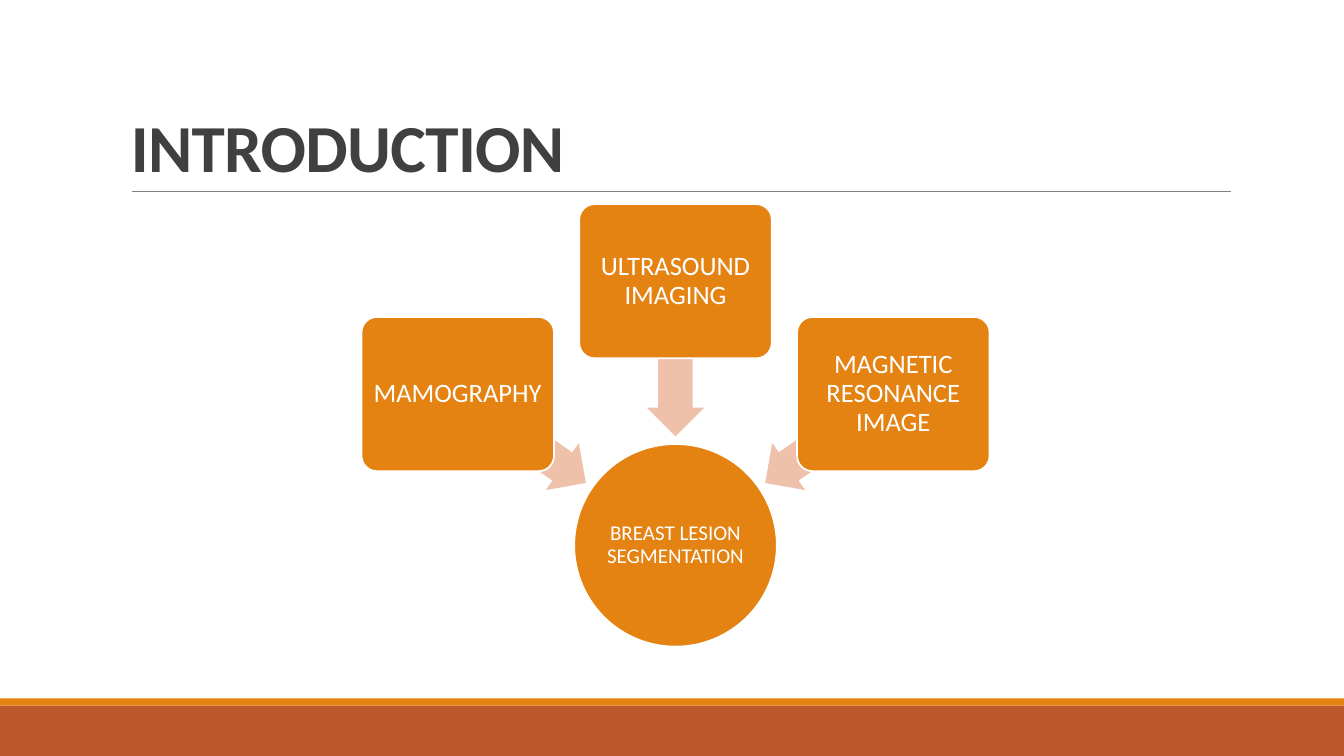
from dataclasses import dataclass

from lxml import etree
from pptx import Presentation
from pptx.dml.color import RGBColor
from pptx.enum import shapes, text
from pptx.oxml.ns import qn
from pptx.util import Inches, Pt

FONT = "Calibri"
ORANGE, RUST, PEACH = "E48312", "BD582C", "EFC1AB"
WHITE, DARK, GREY = "FFFFFF", "404040", "808080"

HUB_X, HUB_Y, HUB_SIZE = 6.7, 5.41, 2.01
BOX_W, BOX_H = 1.91, 1.53
ARROW_W, ARROW_H = 1.54, 0.57


@dataclass
class Modality:
    """An imaging method; offsets run from the hub centre to the box and arrow centres."""
    label: str
    box_dx: float
    box_dy: float
    arrow_dx: float
    arrow_dy: float
    rotation: float


MODALITIES = [
    Modality("MAMOGRAPHY", -2.16, -1.5, -1.52, -1.06, 215),
    Modality("ULTRASOUND IMAGING", 0, -2.62, 0, -1.85, 270),
    Modality("MAGNETIC RESONANCE IMAGE", 2.16, -1.5, 1.52, -1.06, 325),
]


def rgb(value: str) -> RGBColor:
    return RGBColor.from_string(value)


def add_block(slide, kind, left: float, top: float, width: float, height: float,
              fill: str, outline: str | None = None):
    block = slide.shapes.add_shape(kind, Inches(left), Inches(top), Inches(width), Inches(height))
    block.shadow.inherit = False
    block.fill.solid()
    block.fill.fore_color.rgb = rgb(fill)
    if outline:
        block.line.color.rgb = rgb(outline)
        block.line.width = Pt(1.25)
    else:
        block.line.fill.background()
    return block


def add_centred(slide, kind, x: float, y: float, width: float, height: float,
                fill: str, outline: str | None = None):
    return add_block(slide, kind, x - width / 2, y - height / 2, width, height, fill, outline)


def add_words(paragraph, words: str, size: float, color: str, spacing: float):
    paragraph.line_spacing = spacing
    run = paragraph.add_run()
    run.text = words
    run.font.name = FONT
    run.font.size = Pt(size)
    run.font.color.rgb = rgb(color)
    return run


def label_block(block, words: str, size: float, inset: float) -> None:
    frame = block.text_frame
    frame.word_wrap = True
    frame.vertical_anchor = text.MSO_ANCHOR.MIDDLE
    frame.margin_left = frame.margin_right = Inches(inset)
    frame.margin_top = frame.margin_bottom = Inches(inset)
    paragraph = frame.paragraphs[0]
    paragraph.alignment = text.PP_ALIGN.CENTER
    add_words(paragraph, words, size, WHITE, 0.9)


def add_title(slide, words: str) -> None:
    title = slide.shapes.add_textbox(Inches(1.2), Inches(0.31), Inches(11), Inches(1.59))
    frame = title.text_frame
    frame.word_wrap = True
    frame.vertical_anchor = text.MSO_ANCHOR.BOTTOM
    run = add_words(frame.paragraphs[0], words, 48, DARK, 0.85)
    run.font.bold = True
    run.font._element.set("spc", "-50")


def add_rule(slide) -> None:
    rule = slide.shapes.add_connector(
        shapes.MSO_CONNECTOR.STRAIGHT, Inches(1.31), Inches(1.9), Inches(12.21), Inches(1.9))
    rule.line.color.rgb = rgb(GREY)
    rule.line.width = Pt(0.5)
    etree.SubElement(rule._element.spPr, qn("a:effectLst"))


def add_modality(slide, modality: Modality) -> None:
    arrow = add_centred(slide, shapes.MSO_SHAPE.LEFT_ARROW, HUB_X + modality.arrow_dx,
                        HUB_Y + modality.arrow_dy, ARROW_W, ARROW_H, PEACH)
    arrow.adjustments[0] = 0.6
    arrow.adjustments[1] = 0.5
    arrow.rotation = modality.rotation
    box = add_centred(slide, shapes.MSO_SHAPE.ROUNDED_RECTANGLE, HUB_X + modality.box_dx,
                      HUB_Y + modality.box_dy, BOX_W, BOX_H, ORANGE, WHITE)
    box.adjustments[0] = 0.1
    label_block(box, modality.label, 19, 0.04)


def main() -> None:
    deck = Presentation()
    deck.slide_width, deck.slide_height = Inches(13.33), Inches(7.5)
    slide = deck.slides.add_slide(deck.slide_layouts[6])

    add_block(slide, shapes.MSO_SHAPE.RECTANGLE, 0, 7, 13.33, 0.5, RUST)
    add_block(slide, shapes.MSO_SHAPE.RECTANGLE, 0, 6.93, 13.33, 0.07, ORANGE)
    add_rule(slide)
    add_title(slide, "INTRODUCTION")

    hub = add_centred(slide, shapes.MSO_SHAPE.OVAL, HUB_X, HUB_Y, HUB_SIZE, HUB_SIZE,
                      ORANGE, WHITE)
    label_block(hub, "BREAST LESION SEGMENTATION", 15, 0.01)
    for modality in MODALITIES:
        add_modality(slide, modality)

    deck.save("out.pptx")


if __name__ == "__main__":
    main()
